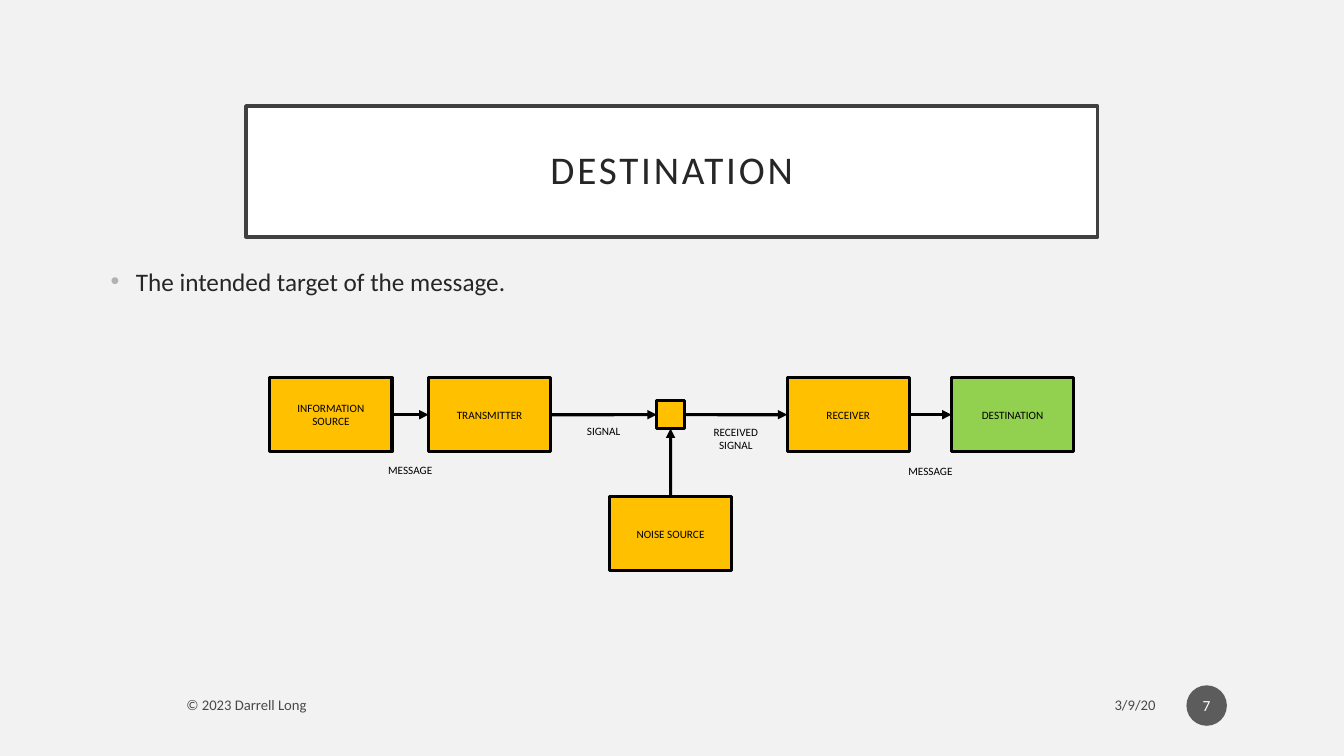
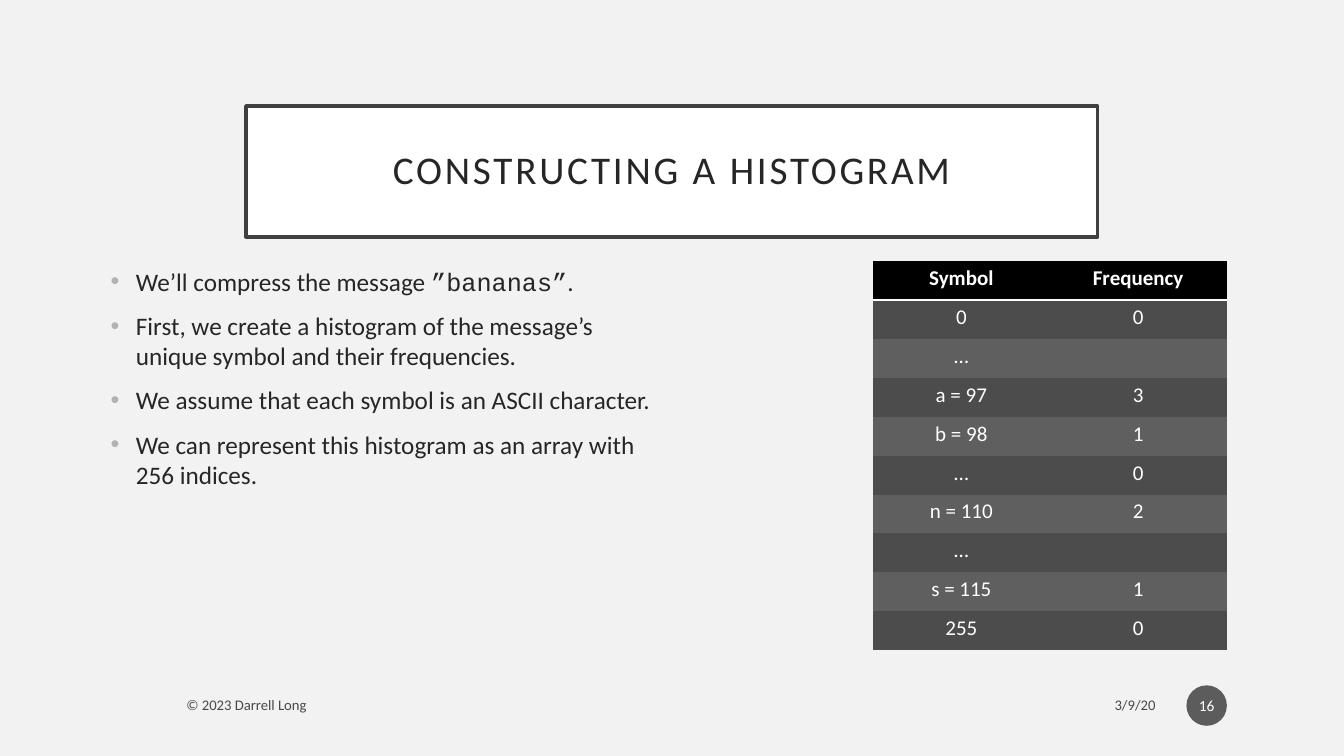
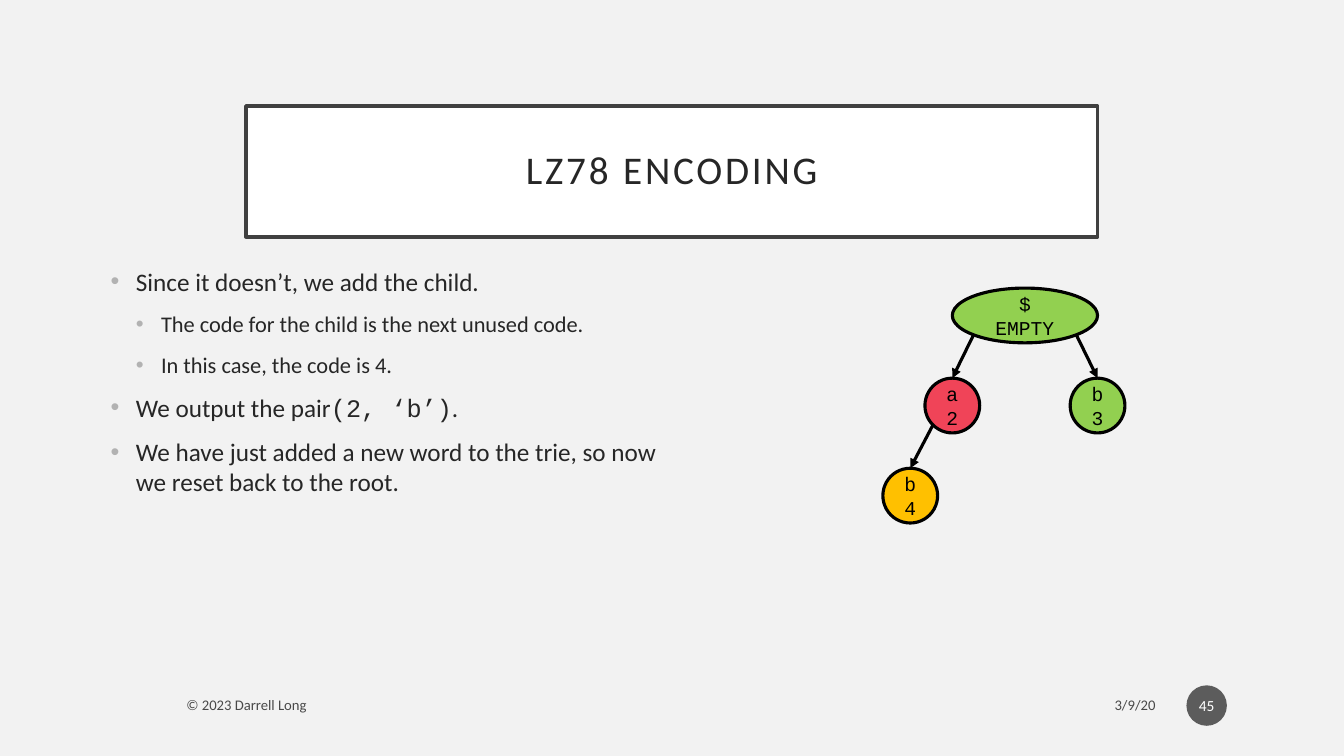
from dataclasses import dataclass
from math import sqrt
from typing import Any, Optional

from lxml.etree import SubElement
from pptx import Presentation
from pptx.dml.color import RGBColor
from pptx.enum.shapes import MSO_CONNECTOR, MSO_SHAPE
from pptx.enum.text import MSO_ANCHOR, MSO_AUTO_SIZE, PP_ALIGN
from pptx.oxml import parse_xml
from pptx.oxml.ns import nsdecls, qn
from pptx.util import Cm, Pt

# Shared look
SANS, MONO = "Calibri", "Courier New"
BLACK, WHITE, INK = "000000", "FFFFFF", "262626"
PAPER, FRAME, BULLET, BADGE = "F2F2F2", "404040", "B2B2B2", "1D1D1D"
AMBER, GREEN, RED = "FFC000", "92D050", "F04458"
HEADER_ROW, ROW_BANDS = BLACK, ("4C4C4C", "5F5F5F")
OPACITY = 70000
OUTLINE = 2.25
NO_GRID_STYLE = "{2D5ABB26-0587-4C30-8999-92F81FD0307C}"

CENTERED = {"alignment": PP_ALIGN.CENTER}
RIGHT = {"alignment": PP_ALIGN.RIGHT}
MIDDLE = {"vertical_anchor": MSO_ANCHOR.MIDDLE, "word_wrap": True}
TITLE_FRAME = {**MIDDLE, "auto_size": MSO_AUTO_SIZE.NONE, "margin_left": Cm(0.5),
               "margin_right": Cm(0.5), "margin_top": Cm(0.5), "margin_bottom": Cm(0.5)}
BADGE_FRAME = {**MIDDLE, "margin_left": Cm(0.05), "margin_right": Cm(0.05)}
CELL_FRAME = {"margin_left": Cm(0.23), "margin_right": Cm(0.23),
              "margin_top": Cm(0.11), "margin_bottom": Cm(0.11)}


@dataclass
class Area:
    """Left, top, width and height in centimetres."""
    left: float
    top: float
    width: float
    height: float

    def lengths(self) -> list:
        return [Cm(v) for v in (self.left, self.top, self.width, self.height)]


@dataclass
class Style:
    size: float
    color: str = BLACK
    name: str = SANS
    bold: bool = False


@dataclass
class Span:
    text: str
    name: str = SANS


@dataclass
class Bullet:
    spans: list
    level: int = 0


@dataclass
class Block:
    key: str
    lines: list
    area: Area
    fill: str = AMBER


@dataclass
class Link:
    start: str
    end: str
    label: tuple = ()
    label_top: float = 0


@dataclass
class Node:
    key: str
    lines: list
    center: float
    depth: int
    fill: str
    width: float = 1.38
    parent: Optional[str] = None
    side: int = -1


TITLE_AREA = Area(6.2, 2.67, 21.46, 3.3)
DATE_AREA = Area(21.72, 17.32, 7.65, 0.89)
COPYRIGHT_AREA = Area(4.45, 17.32, 16.38, 0.89)
BADGE_AREA = Area(29.9, 17.27, 1.02, 1.02)
WIDE_BODY = Area(2.54, 6.58, 28.78, 9.5)
HALF_BODY = Area(2.54, 6.58, 14.4, 9.5)
FOOTER_STYLE = Style(10.5)
SMALL_STYLE = Style(8)
NODE_STYLE = Style(14, name=MONO)


def rgb(value: str) -> RGBColor:
    return RGBColor.from_string(value)


def apply(target: Any, formats: dict) -> None:
    for name, value in formats.items():
        setattr(target, name, value)


def fade(element: Any) -> None:
    """Make the colours used in an element partly transparent."""
    for color in element.iter(qn("a:srgbClr")):
        SubElement(color, qn("a:alpha")).set("val", str(OPACITY))


def paint(shape: Any, fill: str, line: Optional[str] = None, width: float = OUTLINE) -> None:
    shape.fill.solid()
    shape.fill.fore_color.rgb = rgb(fill)
    if line:
        shape.line.color.rgb = rgb(line)
        shape.line.width = Pt(width)
    else:
        shape.line.fill.background()


def add_span(para: Any, text: str, style: Style) -> Any:
    span = para.add_run()
    span.text = text
    apply(span.font, {"name": style.name, "size": Pt(style.size), "bold": style.bold})
    span.font.color.rgb = rgb(style.color)
    return span


def write(frame: Any, lines: list, style: Style, formats: dict) -> None:
    for index, line in enumerate(lines):
        para = frame.add_paragraph() if index else frame.paragraphs[0]
        apply(para, formats)
        add_span(para, line, style)


def add_text(page: Any, area: Area, lines: list, style: Style, formats: dict,
             frame_formats: dict) -> Any:
    box = page.shapes.add_textbox(*area.lengths())
    apply(box.text_frame, frame_formats)
    write(box.text_frame, lines, style, formats)
    return box


def add_figure(page: Any, kind: MSO_SHAPE, area: Area, fill: str, line: Optional[str],
               frame_formats: dict) -> Any:
    shape = page.shapes.add_shape(kind, *area.lengths())
    shape.shadow.inherit = False
    paint(shape, fill, line)
    apply(shape.text_frame, frame_formats)
    return shape


def add_arrow(page: Any) -> Any:
    arrow = page.shapes.add_connector(MSO_CONNECTOR.STRAIGHT, 0, 0, 0, 0)
    arrow.line.color.rgb = rgb(BLACK)
    arrow.line.width = Pt(OUTLINE)
    properties = arrow.element.spPr
    SubElement(properties.find(qn("a:ln")), qn("a:tailEnd")).set("type", "triangle")
    SubElement(properties, qn("a:effectLst"))
    return arrow


def add_page(deck: Any, title: str, number: int) -> Any:
    """Add a slide with its framed title, footer and number badge."""
    page = deck.slides.add_slide(deck.slide_layouts.get_by_name("Title Only"))
    heading = page.shapes.title
    heading.left, heading.top, heading.width, heading.height = TITLE_AREA.lengths()
    paint(heading, WHITE, FRAME, 2.5)
    apply(heading.text_frame, TITLE_FRAME)
    para = heading.text_frame.paragraphs[0]
    apply(para, {**CENTERED, "line_spacing": 0.9})
    span = add_span(para, title, Style(28, INK))
    span.font._element.set("spc", "200")

    for area, text, formats in ((DATE_AREA, "3/9/20", RIGHT),
                                (COPYRIGHT_AREA, "© 2023 Darrell Long", {})):
        fade(add_text(page, area, [text], FOOTER_STYLE, formats, MIDDLE).element)
    badge = add_figure(page, MSO_SHAPE.OVAL, BADGE_AREA, BADGE, None, BADGE_FRAME)
    fade(badge.element.spPr)
    write(badge.text_frame, [str(number)], Style(11, WHITE), CENTERED)
    return page


def add_bullets(page: Any, area: Area, bullets: list) -> None:
    frame = page.shapes.add_textbox(*area.lengths()).text_frame
    frame.word_wrap = True
    for index, bullet in enumerate(bullets):
        para = frame.add_paragraph() if index else frame.paragraphs[0]
        properties = para._p.get_or_add_pPr()
        properties.set("marL", str(Cm(0.635 * (bullet.level + 1))))
        properties.set("indent", str(-Cm(0.635)))
        color = SubElement(properties, qn("a:buClr"))
        SubElement(color, qn("a:srgbClr")).set("val", BULLET)
        SubElement(properties, qn("a:buFont")).set("typeface", "Arial")
        SubElement(properties, qn("a:buChar")).set("char", "•")
        apply(para, {"level": bullet.level, "space_before": Pt(10 if index else 0)})
        for span in bullet.spans:
            add_span(para, span.text, Style(18 - 2 * bullet.level, INK, span.name))


# Slide parts
def add_channel(page: Any, blocks: list, links: list) -> None:
    """Draw blocks joined by arrows, each label centred on its gap."""
    shapes = {}
    areas = {block.key: block.area for block in blocks}
    for block in blocks:
        shape = add_figure(page, MSO_SHAPE.RECTANGLE, block.area, block.fill, BLACK, MIDDLE)
        write(shape.text_frame, block.lines, SMALL_STYLE, CENTERED)
        shapes[block.key] = shape
    top, left, right, bottom = 0, 1, 3, 2
    for link in links:
        start, end = areas[link.start], areas[link.end]
        rising = start.top > end.top + end.height
        arrow = add_arrow(page)
        arrow.begin_connect(shapes[link.start], top if rising else right)
        arrow.end_connect(shapes[link.end], bottom if rising else left)
        if link.label:
            center = (start.left + start.width + end.left) / 2
            area = Area(center - 1.12, link.label_top, 2.24, 0.33 + 0.36 * len(link.label))
            add_text(page, area, link.label, SMALL_STYLE, CENTERED, {"word_wrap": True})


def add_frequency_table(page: Any, rows: list) -> None:
    area = Area(22, 6.58, 8.91, 9.8)
    holder = page.shapes.add_table(len(rows), len(rows[0]), *area.lengths())
    for style_id in holder.element.iter(qn("a:tableStyleId")):
        style_id.text = NO_GRID_STYLE
    for row_index, row in enumerate(rows):
        header = row_index == 0
        for column_index, text in enumerate(row):
            cell = holder.table.cell(row_index, column_index)
            apply(cell, CELL_FRAME)
            cell.fill.solid()
            cell.fill.fore_color.rgb = rgb(HEADER_ROW if header else ROW_BANDS[(row_index - 1) % 2])
            write(cell.text_frame, [text], Style(15, WHITE, bold=header), CENTERED)
            if header:
                rule = parse_xml(f'<a:lnB {nsdecls("a")} w="{Pt(2)}"><a:solidFill>'
                                 f'<a:srgbClr val="{WHITE}"/></a:solidFill></a:lnB>')
                cell._tc.get_or_add_tcPr().insert(0, rule)


def add_trie(page: Any, nodes: list) -> None:
    """Draw the nodes level by level, with an arrow from each parent."""
    first_top, level_step, height = 7.26, 2.27, 1.38
    drawn = {}
    for node in nodes:
        area = Area(node.center - node.width / 2, first_top + node.depth * level_step,
                    node.width, height)
        shape = add_figure(page, MSO_SHAPE.OVAL, area, node.fill, BLACK, MIDDLE)
        write(shape.text_frame, node.lines, NODE_STYLE, CENTERED)
        drawn[node.key] = area
        if node.parent:
            above = drawn[node.parent]
            reach = 1 + node.side / sqrt(2)
            arrow = add_arrow(page)
            arrow.begin_x = Cm(above.left + above.width / 2 * reach)
            arrow.begin_y = Cm(above.top + above.height / 2 * (1 + 1 / sqrt(2)))
            arrow.end_connect(shape, 0)


# Slides
def destination_page(deck: Any) -> None:
    page = add_page(deck, "DESTINATION", 7)
    add_bullets(page, WIDE_BODY, [Bullet([Span("The intended target of the message.")])])
    row_top, width, height = 9.52, 3.08, 1.86

    def block(key: str, lines: list, left: float, top: float = row_top,
              fill: str = AMBER) -> Block:
        return Block(key, lines, Area(left, top, width, height), fill)

    blocks = [
        block("source", ["INFORMATION", "SOURCE"], 6.8),
        block("transmitter", ["TRANSMITTER"], 10.8),
        block("receiver", ["RECEIVER"], 19.84),
        block("destination", ["DESTINATION"], 23.98, fill=GREEN),
        block("noise", ["NOISE SOURCE"], 15.36, 12.52),
        Block("channel", [], Area(16.55, 10.1, 0.7, 0.7)),
    ]
    links = [
        Link("source", "transmitter", ("MESSAGE",), 11.56),
        Link("transmitter", "channel", ("SIGNAL",), 10.57),
        Link("channel", "receiver", ("RECEIVED", "SIGNAL"), 10.59),
        Link("receiver", "destination", ("MESSAGE",), 11.58),
        Link("noise", "channel"),
    ]
    add_channel(page, blocks, links)


def histogram_page(deck: Any) -> None:
    page = add_page(deck, "CONSTRUCTING A HISTOGRAM", 16)
    add_bullets(page, HALF_BODY, [
        Bullet([Span("We’ll compress the message "), Span("”bananas”", MONO), Span(".")]),
        Bullet([Span("First, we create a histogram of the message’s unique symbol "
                     "and their frequencies.")]),
        Bullet([Span("We assume that each symbol is an ASCII character.")]),
        Bullet([Span("We can represent this histogram as an array with 256 indices.")]),
    ])
    add_frequency_table(page, [
        ("Symbol", "Frequency"), ("0", "0"), ("…", ""), ("a = 97", "3"), ("b = 98", "1"),
        ("…", "0"), ("n = 110", "2"), ("…", ""), ("s = 115", "1"), ("255", "0"),
    ])


def encoding_page(deck: Any) -> None:
    page = add_page(deck, "LZ78 ENCODING", 45)
    add_bullets(page, HALF_BODY, [
        Bullet([Span("Since it doesn’t, we add the child.")]),
        Bullet([Span("The code for the child is the next unused code.")], 1),
        Bullet([Span("In this case, the code is 4.")], 1),
        Bullet([Span("We output the pair"), Span("(2, ‘b’)", MONO), Span(".")]),
        Bullet([Span("We have just added a new word to the trie, so now we reset "
                     "back to the root.")]),
    ])
    add_trie(page, [
        Node("root", ["$", "EMPTY"], 25.83, 0, GREEN, width=3.66),
        Node("a", ["a", "2"], 24, 1, RED, parent="root"),
        Node("b", ["b", "3"], 27.66, 1, GREEN, parent="root", side=1),
        Node("ab", ["b", "4"], 22.94, 2, AMBER, parent="a"),
    ])


def main() -> None:
    deck = Presentation()
    deck.slide_width, deck.slide_height = Cm(33.87), Cm(19.05)
    background = deck.slide_master.background.fill
    background.solid()
    background.fore_color.rgb = rgb(PAPER)
    for build in (destination_page, histogram_page, encoding_page):
        build(deck)
    deck.save("out.pptx")


if __name__ == "__main__":
    main()
